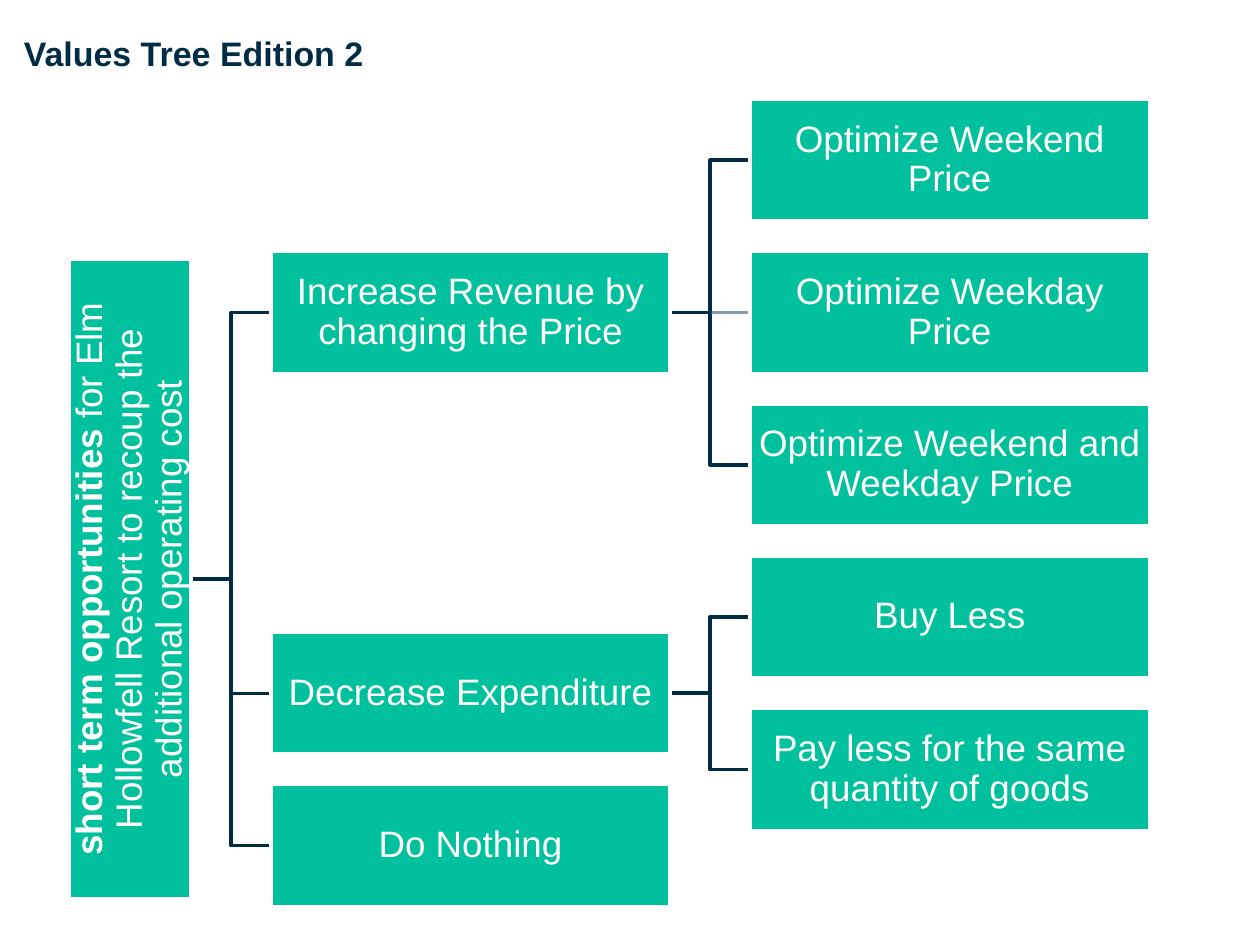
from lxml.etree import SubElement
from pptx import Presentation
from pptx.dml.color import RGBColor
from pptx.enum.shapes import MSO_CONNECTOR as CONNECTOR, MSO_SHAPE as SHAPE
from pptx.enum.text import MSO_ANCHOR as ANCHOR, PP_ALIGN as ALIGN
from pptx.oxml.ns import qn
from pptx.util import Cm, Pt

COLORS = {"navy": "002C46", "green": "00C09D", "grey": "8B9AAC", "white": "FFFFFF"}
FONT = "Arial"

# Tree measures in cm
NODE_WIDTH, NODE_HEIGHT = 8.05, 2.46
ROOT_LENGTH = 12.9
COLUMN_GAP = 1.61
ROW_STEP = 3.07

# A node is (runs of (text, bold), row of a leaf or list of children)
TREE = (
    [("short term opportunities", True),
     (" for Elm Hollowfell Resort to recoup the additional operating cost", False)],
    [
        ([("Increase Revenue by changing the Price", False)], [
            ([("Optimize Weekend Price", False)], 0),
            ([("Optimize Weekday Price", False)], 1),
            ([("Optimize Weekend and Weekday Price", False)], 2),
        ]),
        ([("Decrease Expenditure", False)], [
            ([("Buy Less", False)], 3),
            ([("Pay less for the same quantity of goods", False)], 4),
        ]),
        ([("Do Nothing", False)], 4.5),
    ],
)


def color(name):
    return RGBColor.from_string(COLORS[name])


def add_run(paragraph, text, size, color_name, bold):
    run = paragraph.add_run()
    run.text = text
    run.font.name = FONT
    run.font.size = Pt(size)
    run.font.bold = bold
    run.font.color.rgb = color(color_name)


def set_margins(frame, margin):
    frame.margin_left = frame.margin_right = margin
    frame.margin_top = frame.margin_bottom = margin


def set_line(shape, color_name):
    shape.line.color.rgb = color(color_name)
    shape.line.width = Pt(2)


def add_title(slide, left, top, width, height):
    box = slide.shapes.add_textbox(Cm(left), Cm(top), Cm(width), Cm(height))
    frame = box.text_frame
    frame.word_wrap = True
    set_margins(frame, 0)
    add_run(frame.paragraphs[0], "Values Tree Edition 2", 19.4, "navy", True)


def add_node(slide, runs, center_x, center_y, width, rotation=0):
    shape = slide.shapes.add_shape(
        SHAPE.RECTANGLE, Cm(center_x - width / 2), Cm(center_y - NODE_HEIGHT / 2),
        Cm(width), Cm(NODE_HEIGHT))
    shape.rotation = rotation
    shape.shadow.inherit = False
    shape.fill.solid()
    shape.fill.fore_color.rgb = color("green")
    set_line(shape, "white")

    frame = shape.text_frame
    frame.word_wrap = True
    frame.vertical_anchor = ANCHOR.MIDDLE
    set_margins(frame, Cm(0.03))
    paragraph = frame.paragraphs[0]
    paragraph.alignment = ALIGN.CENTER
    paragraph.line_spacing = 0.9
    for text, bold in runs:
        add_run(paragraph, text, 21, "white", bold)


def add_branch(slide, left, start_y, end_y):
    """Joins a parent to a child: straight on the same row, else an elbow."""
    right = left + COLUMN_GAP
    if abs(start_y - end_y) < 0.01:
        line = slide.shapes.add_connector(
            CONNECTOR.STRAIGHT, Cm(left), Cm(start_y), Cm(right), Cm(end_y))
        SubElement(line.element.spPr, qn("a:effectLst"))
        set_line(line, "grey")
        return
    middle = left + COLUMN_GAP / 2
    builder = slide.shapes.build_freeform(Cm(left), Cm(start_y))
    builder.add_line_segments(
        [(Cm(x), Cm(y)) for x, y in ((middle, start_y), (middle, end_y), (right, end_y))],
        close=False)
    elbow = builder.convert_to_shape()
    elbow.shadow.inherit = False
    elbow.fill.background()
    set_line(elbow, "navy")


def find_row(node):
    """A parent sits midway between its first and last child."""
    below = node[1]
    if isinstance(below, list):
        return (find_row(below[0]) + find_row(below[-1])) / 2
    return below


def add_tree(slide, left, top, node, is_root=True):
    def center_y(item):
        return top + NODE_HEIGHT / 2 + find_row(item) * ROW_STEP

    runs, below = node
    column_width = NODE_HEIGHT if is_root else NODE_WIDTH
    right = left + column_width

    # Branches first, so that the boxes lie over their ends
    if isinstance(below, list):
        for child in reversed(below):
            add_branch(slide, right, center_y(node), center_y(child))
        for child in below:
            add_tree(slide, right + COLUMN_GAP, top, child, is_root=False)

    add_node(slide, runs, left + column_width / 2, center_y(node),
             ROOT_LENGTH if is_root else NODE_WIDTH, 270 if is_root else 0)


def main():
    presentation = Presentation()
    presentation.slide_width, presentation.slide_height = Cm(25.4), Cm(19.05)
    slide = presentation.slides.add_slide(presentation.slide_layouts[6])
    add_title(slide, 0.48, 0.66, 24.43, 0.84)
    add_tree(slide, 1.39, 2, TREE)
    presentation.save("out.pptx")


if __name__ == "__main__":
    main()
